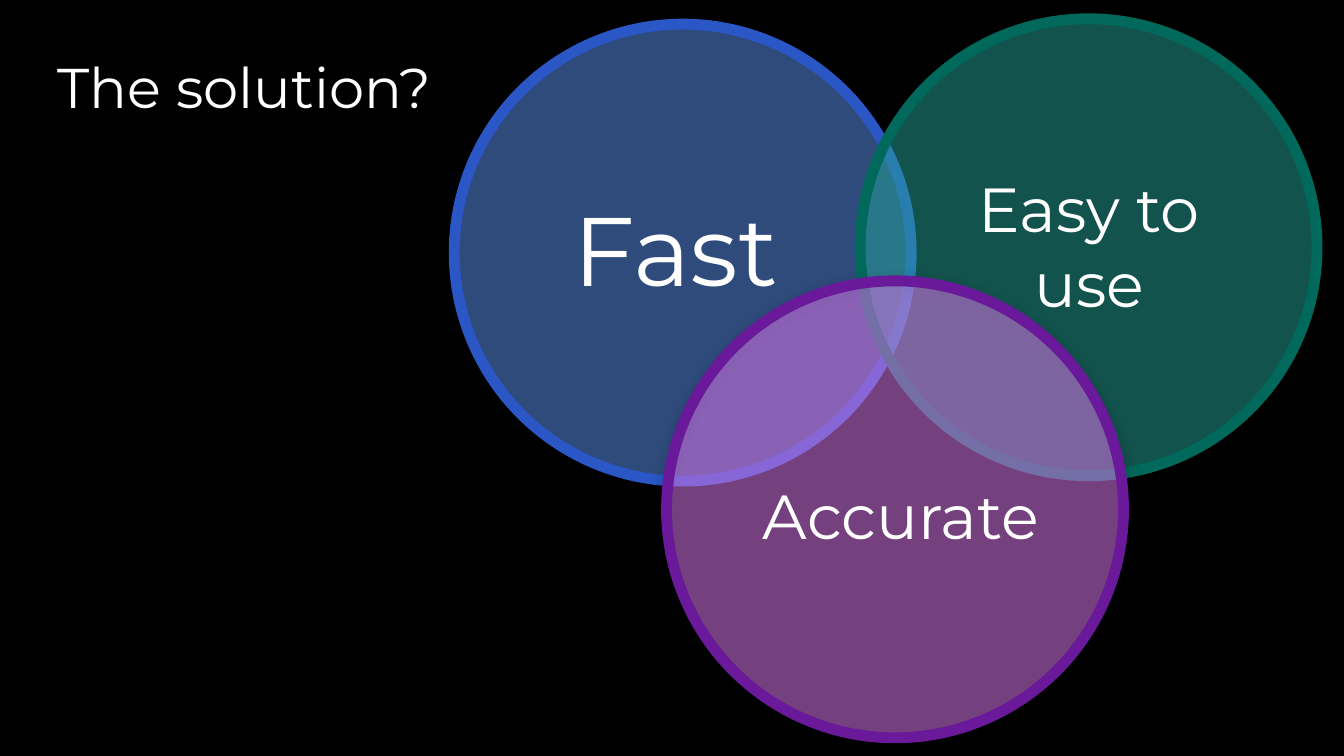
"""Builds the solution slide: a Venn diagram of three overlapping qualities."""
from lxml import etree
from pptx import Presentation
from pptx.dml.color import RGBColor
from pptx.enum.shapes import MSO_SHAPE
from pptx.enum.text import MSO_ANCHOR, MSO_AUTO_SIZE, PP_ALIGN
from pptx.oxml.ns import qn
from pptx.util import Inches, Pt

OVAL = MSO_SHAPE.OVAL
LEFT, CENTER = PP_ALIGN.LEFT, PP_ALIGN.CENTER
TOP, BOTTOM = MSO_ANCHOR.TOP, MSO_ANCHOR.BOTTOM
FIXED, GROW = MSO_AUTO_SIZE.NONE, MSO_AUTO_SIZE.SHAPE_TO_FIT_TEXT
TITLE_ONLY = 5


def rgb(value):
    return RGBColor.from_string(value)


def write(frame, text, size, font="Montserrat", color="FFFFFF", align=LEFT,
          anchor=TOP, fit=GROW, inset=0.15):
    frame.word_wrap = True
    frame.auto_size = fit
    frame.vertical_anchor = anchor
    frame.margin_left = frame.margin_right = Inches(inset)
    frame.margin_top = frame.margin_bottom = Inches(inset)
    paragraph = frame.paragraphs[0]
    paragraph.alignment = align
    run = paragraph.add_run()
    run.text = text
    run.font.name = font
    run.font.size = Pt(size)
    run.font.color.rgb = rgb(color)


class VennSlide:
    diameter = 3.4
    outline = 5.81
    opacity = 50

    def __init__(self, presentation, background):
        layout = presentation.slide_layouts[TITLE_ONLY]
        self.slide = presentation.slides.add_slide(layout)
        self.slide.background.fill.solid()
        self.slide.background.fill.fore_color.rgb = rgb(background)

    def title(self, text, left, top, width, height):
        heading = self.slide.shapes.title
        heading.left, heading.top = Inches(left), Inches(top)
        heading.width, heading.height = Inches(width), Inches(height)
        write(heading.text_frame, text, 30, anchor=BOTTOM, fit=FIXED, inset=0.1)

    def circle(self, left, top, fill, line, raised=False):
        side = Inches(self.diameter)
        circle = self.slide.shapes.add_shape(OVAL, Inches(left), Inches(top), side, side)
        circle.fill.solid()
        circle.fill.fore_color.rgb = rgb(fill)
        circle.line.color.rgb = rgb(line)
        circle.line.width = Pt(self.outline)
        circle.shadow.inherit = False
        properties = circle._element.spPr
        tint = properties.find(qn("a:solidFill")).find(qn("a:srgbClr"))
        self.alpha(tint, self.opacity)
        if raised:
            shadow = etree.SubElement(
                properties.find(qn("a:effectLst")), qn("a:outerShdw"),
                blurRad=str(Pt(6.8)), dist=str(Pt(2.3)), dir="5400000",
                algn="ctr", rotWithShape="0")
            shade = etree.SubElement(shadow, qn("a:srgbClr"), val="000000")
            self.alpha(shade, 20)

    def alpha(self, color, percent):
        etree.SubElement(color, qn("a:alpha"), val=str(percent * 1000))

    def label(self, text, left, top, width, height, size=33.3, align=CENTER):
        box = self.slide.shapes.add_textbox(
            Inches(left), Inches(top), Inches(width), Inches(height))
        write(box.text_frame, text, size, align=align)


def main():
    presentation = Presentation()
    presentation.slide_width = Inches(10)
    presentation.slide_height = Inches(10 * 9 / 16)

    venn = VennSlide(presentation, "000000")
    venn.title("The solution?", 0.33, 0.2, 6.39, 0.79)
    venn.circle(3.38, 0.18, "5D97F7", "2A56C6")
    venn.label("Fast", 4.12, 1.26, 1.92, 1.18, size=52.1, align=LEFT)
    venn.circle(6.4, 0.14, "26A69A", "00695C")
    venn.label("Easy to use", 6.99, 1.12, 2.23, 1.43)
    venn.circle(4.96, 2.09, "EA80FD", "69199A", raised=True)
    venn.label("Accurate", 5.47, 3.4, 2.47, 0.87)

    presentation.save("out.pptx")


if __name__ == "__main__":
    main()
